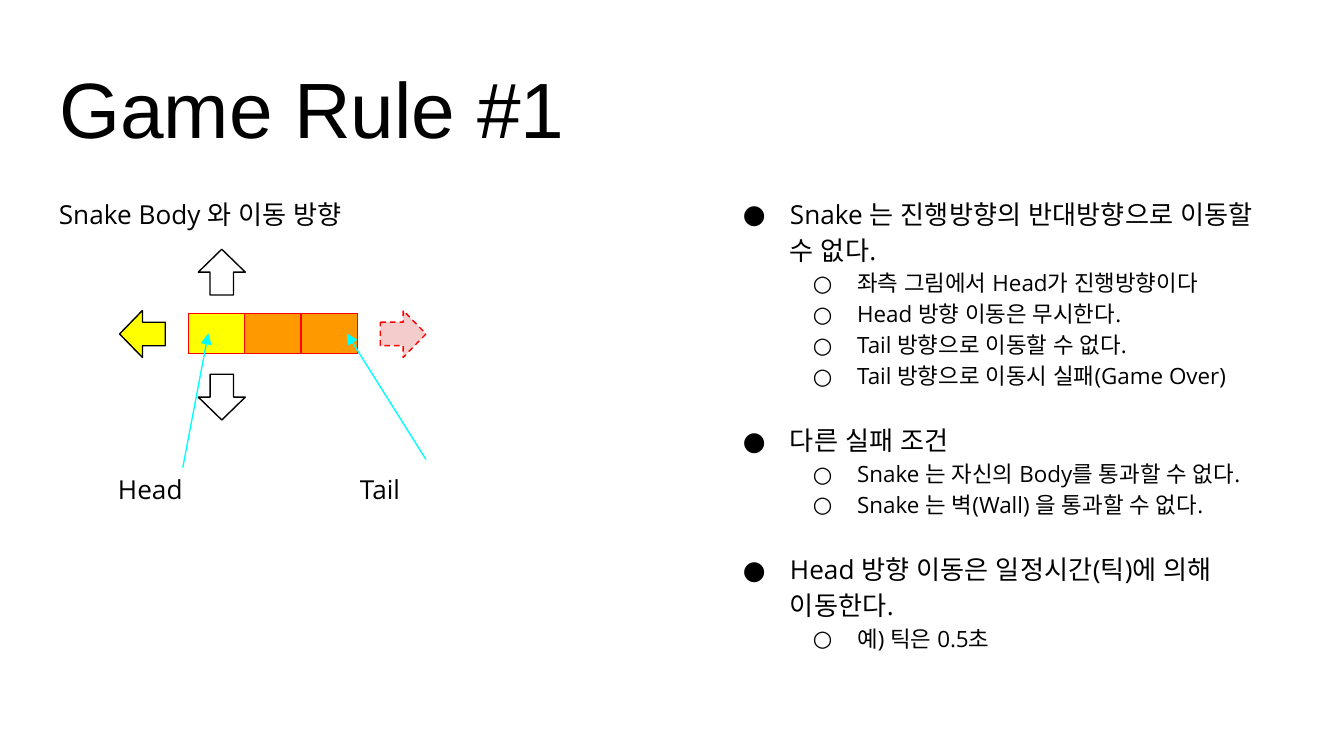
from lxml.etree import SubElement as Sub
from pptx import Presentation
from pptx.dml.color import RGBColor as RGB
from pptx.enum.dml import MSO_LINE as Dash
from pptx.enum.shapes import MSO_CONNECTOR as Conn, MSO_SHAPE as Shape
from pptx.enum.text import MSO_ANCHOR as Anchor, MSO_AUTO_SIZE as Fit, PP_ALIGN as Align
from pptx.oxml.ns import qn
from pptx.util import Inches, Pt

THEME = {
    "head font": "Arial", "font": "Open Sans",
    "title": 42, "text": 14, "sub": 12, "line": 0.75,
    "ink": "000000", "white": "FFFFFF", "red": "FF0000", "head": "FFFF00",
    "body": "FF9900", "pink": "F4CCCC", "pointer": "00FFFF",
}

TITLE = "Game Rule #1"
INTRO = "Snake Body 와 이동 방향"
RULES = [
    ("Snake 는 진행방향의 반대방향으로 이동할 수 없다.", [
        "좌측 그림에서 Head가 진행방향이다",
        "Head 방향 이동은 무시한다.",
        "Tail 방향으로 이동할 수 없다.",
        "Tail 방향으로 이동시 실패(Game Over)"]),
    ("다른 실패 조건", [
        "Snake 는 자신의 Body를 통과할 수 없다.",
        "Snake 는 벽(Wall) 을 통과할 수 없다."]),
    ("Head 방향 이동은 일정시간(틱)에 의해 이동한다.", [
        "예) 틱은 0.5초"]),
]
SNAKE = ["head", "body", "body"]
# left, top, turn, fill, line, dashed
ARROWS = [
    (0.89, 2.31, 180, "head", "ink", False),
    (1.48, 1.85, 270, "white", "ink", False),
    (1.48, 2.78, 90, "white", "ink", False),
    (2.83, 2.31, 0, "pink", "red", True),
]
POINTERS = [((1.36, 3.48), (1.55, 2.48)), ((3.17, 3.42), (2.58, 2.48))]
LABELS = [("Head", 0.78), ("Tail", 2.58)]
SLIDE_W = 10
SLIDE_H = SLIDE_W * 9 / 16
BODY_TOP, BODY_W, BODY_H = 1.34, 4.37, 3.67
LEFT, RIGHT = 0.34, 5.28


def color(name):
    return RGB.from_string(THEME[name])


def style(para, size, font="font"):
    for run in para.runs:
        run.font.name = THEME[font]
        run.font.size = Pt(THEME[size])
        run.font.color.rgb = color("ink")
        for script in ("ea", "cs"):
            Sub(run.font._element, qn("a:" + script), typeface=THEME[font])


def frame(shape):
    """Set the wrap and margins that all text here shares."""
    text = shape.text_frame
    text.word_wrap = True
    text.auto_size = Fit.NONE
    text.margin_left = text.margin_right = Inches(0.1)
    text.margin_top = text.margin_bottom = Inches(0.1)
    return text


def add_text(slide, left, top, width, height):
    return frame(slide.shapes.add_textbox(*map(Inches, (left, top, width, height))))


def bullet(para, char, left, hang):
    props = para._p.get_or_add_pPr()
    props.set("marL", str(Inches(left)))
    props.set("indent", str(-Inches(hang)))
    tint = Sub(props, qn("a:buClr"))
    Sub(tint, qn("a:srgbClr"), val=THEME["ink"])
    Sub(props, qn("a:buFont"), typeface=THEME["font"])
    Sub(props, qn("a:buChar"), char=char)


def add_title(slide):
    title = slide.shapes.title
    title.left, title.top, title.width, title.height = map(Inches, (LEFT, 0.35, 9.32, 0.9))
    text = frame(title)
    text.vertical_anchor = Anchor.BOTTOM
    text.text = TITLE
    text.paragraphs[0].alignment = Align.LEFT
    style(text.paragraphs[0], "title", "head font")


def add_intro(slide):
    para = add_text(slide, LEFT, BODY_TOP, BODY_W, BODY_H).paragraphs[0]
    para.text = INTRO
    para.line_spacing = 1.15
    para.space_after = Pt(16)
    style(para, "text")


def add_rules(slide):
    text = add_text(slide, RIGHT, BODY_TOP, BODY_W, BODY_H)
    for i, (rule, notes) in enumerate(RULES):
        for j, line in enumerate([rule, *notes]):
            para = text.add_paragraph() if i or j else text.paragraphs[0]
            para.text = line
            para.line_spacing = 1.15
            para.space_before = Pt(16.5 if i and not j else 0)
            if j:
                para.level = 1
                bullet(para, "○", 1, 0.33)
            else:
                bullet(para, "●", 0.5, 0.35)
            style(para, "sub" if j else "text")


def add_snake(slide):
    cell_w = 0.42
    box = map(Inches, (1.4, 2.33, cell_w * len(SNAKE), 0.3))
    table = slide.shapes.add_table(1, len(SNAKE), *box).table
    table.first_row = table.horz_banding = False
    for cell, fill in zip(table.rows[0].cells, SNAKE):
        cell.margin_left = cell.margin_right = cell.margin_top = cell.margin_bottom = 0
        para = cell.text_frame.paragraphs[0]
        Sub(para._p, qn("a:endParaRPr"), sz=str(THEME["sub"] * 100))
        props = cell._tc.get_or_add_tcPr()
        for side in ("lnL", "lnR", "lnT", "lnB"):
            edge = Sub(props, qn("a:" + side), w=str(Pt(THEME["line"])))
            Sub(Sub(edge, qn("a:solidFill")), qn("a:srgbClr"), val=THEME["red"])
        cell.fill.solid()
        cell.fill.fore_color.rgb = color(fill)


def add_pointer(slide, start, end):
    line = slide.shapes.add_connector(Conn.STRAIGHT, *map(Inches, start + end))
    line.line.color.rgb = color("pointer")
    line.line.width = Pt(THEME["line"])
    Sub(line.line._get_or_add_ln(), qn("a:tailEnd"), type="triangle")
    Sub(line._element.spPr, qn("a:effectLst"))


def add_arrow(slide, left, top, turn, fill, edge, dashed):
    box = map(Inches, (left, top, 0.34, 0.35))
    arrow = slide.shapes.add_shape(Shape.RIGHT_ARROW, *box)
    arrow.rotation = turn
    arrow.shadow.inherit = False
    arrow.fill.solid()
    arrow.fill.fore_color.rgb = color(fill)
    arrow.line.color.rgb = color(edge)
    arrow.line.width = Pt(THEME["line"])
    if dashed:
        arrow.line.dash_style = Dash.DASH


def main():
    deck = Presentation()
    deck.slide_width, deck.slide_height = Inches(SLIDE_W), Inches(SLIDE_H)
    slide = deck.slides.add_slide(deck.slide_layouts[5])
    add_title(slide)
    add_intro(slide)
    add_snake(slide)
    for start, end in POINTERS:
        add_pointer(slide, start, end)
    for label, left in LABELS:
        para = add_text(slide, left, 3.42, 1.36, 0.43).paragraphs[0]
        para.text = label
        style(para, "text")
    for arrow in ARROWS:
        add_arrow(slide, *arrow)
    add_rules(slide)
    deck.save("out.pptx")


if __name__ == "__main__":
    main()
